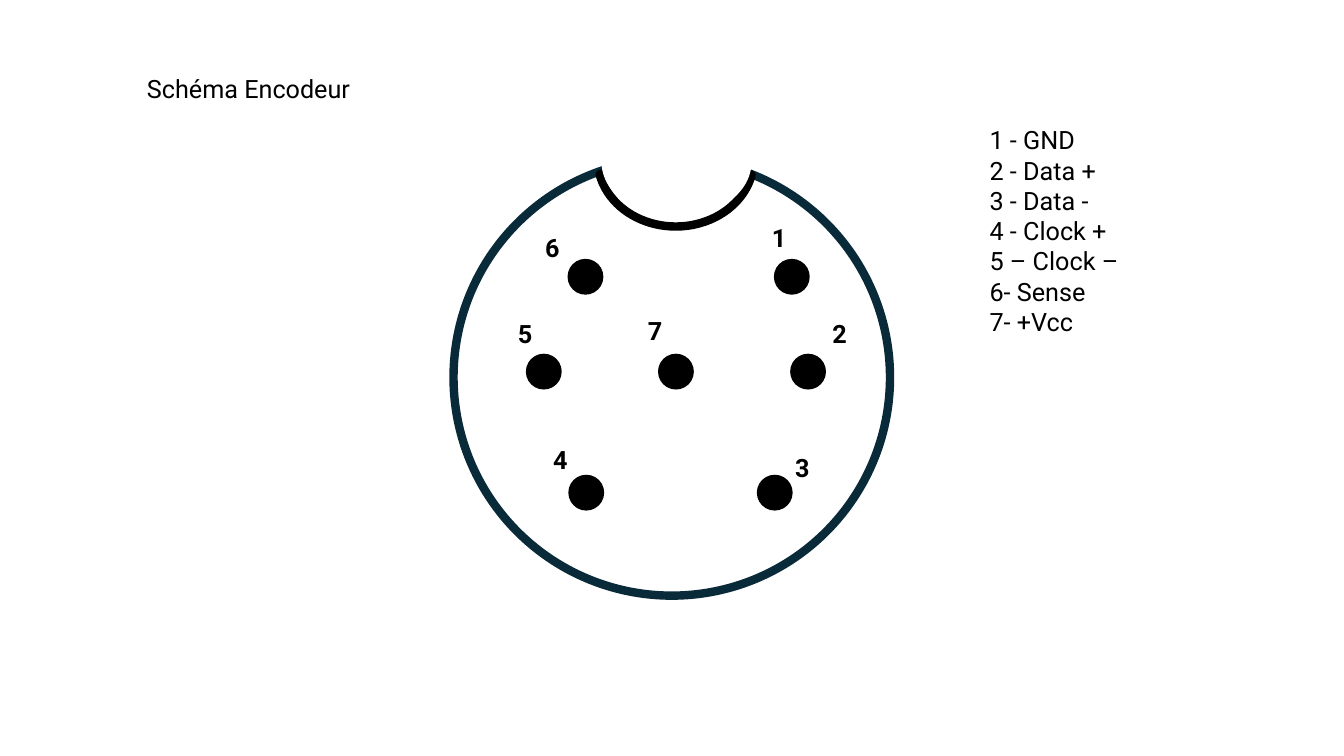
from dataclasses import dataclass

from pptx import Presentation
from pptx import util as u
from pptx.dml import color
from pptx.enum import shapes, text


@dataclass(frozen=True)
class Theme:
    ink: color.RGBColor = color.RGBColor(0, 0, 0)
    paper: color.RGBColor = color.RGBColor(255, 255, 255)
    shell: color.RGBColor = color.RGBColor(0x09, 0x2A, 0x39)
    font: str = "Roboto"
    size: u.Pt = u.Pt(18)
    shell_width: u.Pt = u.Pt(6)
    pin_width: u.Pt = u.Pt(1.5)


theme = Theme()
deck = Presentation()
deck.slide_width, deck.slide_height = u.Cm(33.87), u.Cm(19.05)
slide = deck.slides.add_slide(deck.slide_layouts[5])


def draw(kind, box, fill=None, line=None, width=None):
    part = slide.shapes.add_shape(kind, *map(u.Cm, box))
    part.shadow.inherit = False
    if fill is None:
        part.fill.background()
    else:
        part.fill.solid()
        part.fill.fore_color.rgb = fill
    if line is None:
        part.line.fill.background()
    else:
        part.line.color.rgb = line
        part.line.width = width
    return part


def write(frame, lines, bold=False):
    frame.word_wrap = True
    frame.vertical_anchor = text.MSO_ANCHOR.TOP
    for index, line in enumerate(lines):
        paragraph = frame.add_paragraph() if index else frame.paragraphs[0]
        paragraph.alignment = text.PP_ALIGN.LEFT
        run = paragraph.add_run()
        run.text = line
        run.font.name = theme.font
        run.font.size = theme.size
        run.font.bold = bold
        run.font.color.rgb = theme.ink


heading = slide.shapes.title
heading.left, heading.top = u.Cm(3.45), u.Cm(1.73)
heading.width, heading.height = u.Cm(5.92), u.Cm(1.02)
write(heading.text_frame, ["Schéma Encodeur"])

oval = shapes.MSO_SHAPE.OVAL
draw(oval, (11.43, 4.01, 11, 11), line=theme.shell, width=theme.shell_width)
notch = draw(shapes.MSO_SHAPE.PIE, (15.06, 2.31, 3.94, 3.4),
             theme.paper, theme.ink, theme.shell_width)
notch.adjustments[0] = 7.043
notch.adjustments[1] = 101.24
draw(oval, (15.16, 2.69, 3.78, 2.79), theme.paper)

pin_size = 0.85
pins = [
    ("1", (19.53, 6.55), (19.2, 5.49)),
    ("2", (19.94, 8.94), (20.73, 7.9)),
    ("3", (19.1, 11.99), (19.79, 11.28)),
    ("4", (14.35, 11.99), (13.69, 11.07)),
    ("5", (13.28, 8.94), (12.8, 7.9)),
    ("6", (14.33, 6.55), (13.49, 5.74)),
    ("7", (16.61, 8.94), (16.08, 7.82)),
]
for number, pin_at, number_at in pins:
    draw(oval, (*pin_at, pin_size, pin_size), theme.ink, theme.ink, theme.pin_width)
    pin_number = slide.shapes.add_textbox(*map(u.Cm, (*number_at, 0.64, 1.02)))
    write(pin_number.text_frame, [number], bold=True)

pinout = slide.shapes.add_textbox(*map(u.Cm, (24.69, 3.02, 5.54, 5.64)))
write(pinout.text_frame, [
    "1 - GND",
    "2 - Data +",
    "3 - Data -",
    "4 - Clock +",
    "5 – Clock –",
    "6- Sense",
    "7- +Vcc",
])

deck.save("out.pptx")
